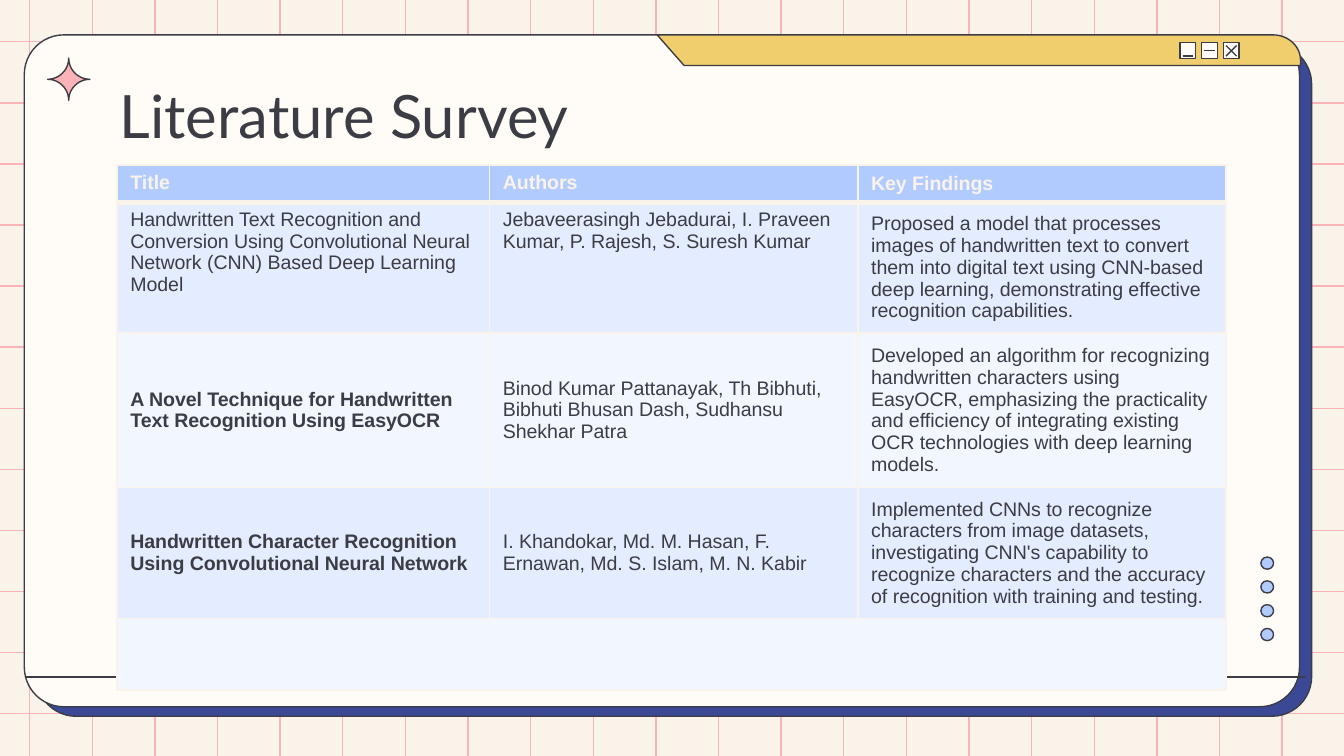
from dataclasses import dataclass
from math import cos, radians, sin

from lxml.etree import SubElement
from pptx import Presentation
from pptx.dml.color import RGBColor
from pptx.enum.shapes import MSO_CONNECTOR, MSO_SHAPE
from pptx.enum.text import MSO_ANCHOR
from pptx.oxml import parse_xml
from pptx.oxml.ns import nsdecls, qn
from pptx.util import Cm, Pt

INK, CREAM, PAPER = "3C3D44", "F9F3EA", "FFFCF7"
PINK, NAVY, GOLD, BLUE = "FCB3B7", "3A4896", "F1CE6D", "B1CBFF"
ROW_TINTS = ("E4ECFF", "F2F6FF")
WIDTH, HEIGHT = 25.4, 14.29
Point = tuple[float, float]


@dataclass
class Box:
    left: float
    top: float
    width: float
    height: float

    def lengths(self) -> list:
        return [Cm(v) for v in (self.left, self.top, self.width, self.height)]


@dataclass
class Entry:
    text: str
    bold: bool = False
    anchor: MSO_ANCHOR = MSO_ANCHOR.MIDDLE


def colour(hex_code: str) -> RGBColor:
    return RGBColor.from_string(hex_code)


def style(shape, fill: str) -> None:
    shape.shadow.inherit = False
    shape.fill.solid()
    shape.fill.fore_color.rgb = colour(fill)
    shape.line.color.rgb = colour(INK)
    shape.line.width = Pt(0.75)


def draw_shape(slide, kind: MSO_SHAPE, box: Box, fill: str):
    shape = slide.shapes.add_shape(kind, *box.lengths())
    style(shape, fill)
    return shape


def draw_line(slide, start: Point, end: Point, tint: str = INK) -> None:
    line = slide.shapes.add_connector(
        MSO_CONNECTOR.STRAIGHT, *[Cm(v) for v in (*start, *end)])
    line.line.color.rgb = colour(tint)
    line.line.width = Pt(0.75)
    SubElement(line._element.spPr, qn("a:effectLst"))


def arc(centre: Point, rx: float, ry: float, first: int, last: int, steps: int = 12) -> list[Point]:
    angles = [radians(first + (last - first) * i / steps) for i in range(steps + 1)]
    return [(centre[0] + rx * cos(a), centre[1] + ry * sin(a)) for a in angles]


def draw_outline(slide, points: list[Point], fill: str) -> None:
    corners = [(Cm(x), Cm(y)) for x, y in points]
    builder = slide.shapes.build_freeform(*corners[0])
    builder.add_line_segments(corners[1:], close=True)
    style(builder.convert_to_shape(), fill)


def write(frame, text: str, *, size: float, font: str = "Arial", tint: str = INK,
          bold: bool = False) -> None:
    frame.word_wrap = True
    run = frame.paragraphs[0].add_run()
    run.text = text
    run.font.size, run.font.name, run.font.bold = Pt(size), font, bold
    run.font.color.rgb = colour(tint)


def set_borders(cell, top: float, bottom: float) -> None:
    widths = {"lnL": 1, "lnR": 1, "lnT": top, "lnB": bottom}
    for place, (side, width) in enumerate(widths.items()):
        cell._tc.get_or_add_tcPr().insert(place, parse_xml(
            f'<a:{side} {nsdecls("a")} w="{Pt(width)}"><a:solidFill>'
            f'<a:srgbClr val="{CREAM}"/></a:solidFill></a:{side}>'))


def draw_grid(slide) -> None:
    columns, rows = 21, 12
    for i in range(columns):
        x = 0.56 + i * (24.23 - 0.56) / (columns - 1)
        draw_line(slide, (x, 0), (x, HEIGHT), PINK)
    for i in range(rows):
        y = 0.79 + i * (13.49 - 0.79) / (rows - 1)
        draw_line(slide, (0, y), (WIDTH, y), PINK)


def draw_window(slide) -> None:
    # Panel and its offset backing
    for left, top, fill in ((0.69, 0.84, NAVY), (0.46, 0.66, PAPER)):
        panel = draw_shape(slide, MSO_SHAPE.ROUNDED_RECTANGLE, Box(left, top, 24.1, 12.7), fill)
        panel.adjustments[0] = 0.059

    # Title-bar tab with a rounded right corner
    tab_corner = arc((24.06, 1.14), 0.52, 0.48, 0, -90)
    draw_outline(slide, [(12.42, 0.66), (12.93, 1.24), (24.58, 1.24), *tab_corner], GOLD)

    # Minimise, restore and close buttons: strokes inside each square
    near, far, middle = 0.05, 0.25, 0.15
    buttons = [
        [((near, far), (far, far))],
        [((near, middle), (far, middle))],
        [((near, near), (far, far)), ((near, far), (far, near))],
    ]
    for i, strokes in enumerate(buttons):
        x, y = 22.3 + i * 0.41, 0.81
        draw_shape(slide, MSO_SHAPE.RECTANGLE, Box(x, y, 0.3, 0.3), PAPER)
        for (x1, y1), (x2, y2) in strokes:
            draw_line(slide, (x + x1, y + y1), (x + x2, y + y2))

    # Footer rule
    draw_line(slide, (0.48, 12.8), (24.66, 12.8))


def draw_ornaments(slide) -> None:
    # Star: four arcs, each centred on a corner of its bounding square
    x, y, r = 1.3, 1.5, 0.4
    sides = ((-1, -1, 0, 90), (-1, 1, -90, 0), (1, 1, 180, 270), (1, -1, 90, 180))
    star = [point for dx, dy, first, last in sides
            for point in arc((x + dx * r, y + dy * r), r, r, first, last)]
    draw_outline(slide, star, PINK)

    for i in range(4):
        draw_shape(slide, MSO_SHAPE.OVAL, Box(23.83, 10.53 + i * 0.45, 0.24, 0.23), BLUE)


def draw_survey(slide, rows: list[list[Entry]]) -> None:
    column_widths = (7.04, 6.96, 6.96)
    row_heights = (0.64, 2.28, 2.74, 2.28, 1.35)
    box = Box(2.21, 3.12, sum(column_widths), sum(row_heights))
    table = slide.shapes.add_table(len(row_heights), len(column_widths), *box.lengths()).table
    for column, width in zip(table.columns, column_widths):
        column.width = Cm(width)
    for row, height in zip(table.rows, row_heights):
        row.height = Cm(height)

    for r in range(len(row_heights)):
        for c in range(len(column_widths)):
            cell = table.cell(r, c)
            cell.fill.solid()
            cell.fill.fore_color.rgb = colour(ROW_TINTS[(r - 1) % 2] if r else BLUE)
            set_borders(cell, top=3 if r == 1 else 1, bottom=3 if r == 0 else 1)
            if r < len(rows):
                entry = rows[r][c]
                cell.vertical_anchor = entry.anchor
                write(cell.text_frame, entry.text, size=10.5, bold=entry.bold,
                      tint=INK if r else CREAM)
    last = len(row_heights) - 1
    table.cell(last, 0).merge(table.cell(last, len(column_widths) - 1))


SURVEY = [
    [Entry("Title", True, MSO_ANCHOR.TOP), Entry("Authors", True, MSO_ANCHOR.TOP),
     Entry("Key Findings", True)],
    [Entry("Handwritten Text Recognition and Conversion Using Convolutional Neural Network (CNN) "
           "Based Deep Learning Model", anchor=MSO_ANCHOR.TOP),
     Entry("Jebaveerasingh Jebadurai, I. Praveen Kumar, P. Rajesh, S. Suresh Kumar",
           anchor=MSO_ANCHOR.TOP),
     Entry("Proposed a model that processes images of handwritten text to convert them into "
           "digital text using CNN-based deep learning, demonstrating effective recognition "
           "capabilities.")],
    [Entry("A Novel Technique for Handwritten Text Recognition Using EasyOCR", True),
     Entry("Binod Kumar Pattanayak, Th Bibhuti, Bibhuti Bhusan Dash, Sudhansu Shekhar Patra"),
     Entry("Developed an algorithm for recognizing handwritten characters using EasyOCR, "
           "emphasizing the practicality and efficiency of integrating existing OCR "
           "technologies with deep learning models.")],
    [Entry("Handwritten Character Recognition Using Convolutional Neural Network", True),
     Entry("I. Khandokar, Md. M. Hasan, F. Ernawan, Md. S. Islam, M. N. Kabir"),
     Entry("Implemented CNNs to recognize characters from image datasets, investigating CNN's "
           "capability to recognize characters and the accuracy of recognition with training "
           "and testing.")],
]


def main() -> None:
    deck = Presentation()
    deck.slide_width, deck.slide_height = Cm(WIDTH), Cm(HEIGHT)
    slide = deck.slides.add_slide(deck.slide_layouts[6])
    slide.background.fill.solid()
    slide.background.fill.fore_color.rgb = colour(CREAM)

    draw_grid(slide)
    draw_window(slide)
    draw_ornaments(slide)

    heading = slide.shapes.add_textbox(*Box(2.01, 1.24, 21.41, 1.6).lengths()).text_frame
    heading.margin_top = heading.margin_bottom = Cm(0.25)
    write(heading, "Literature Survey", size=32, font="Lato")

    draw_survey(slide, SURVEY)
    deck.save("out.pptx")


if __name__ == "__main__":
    main()
